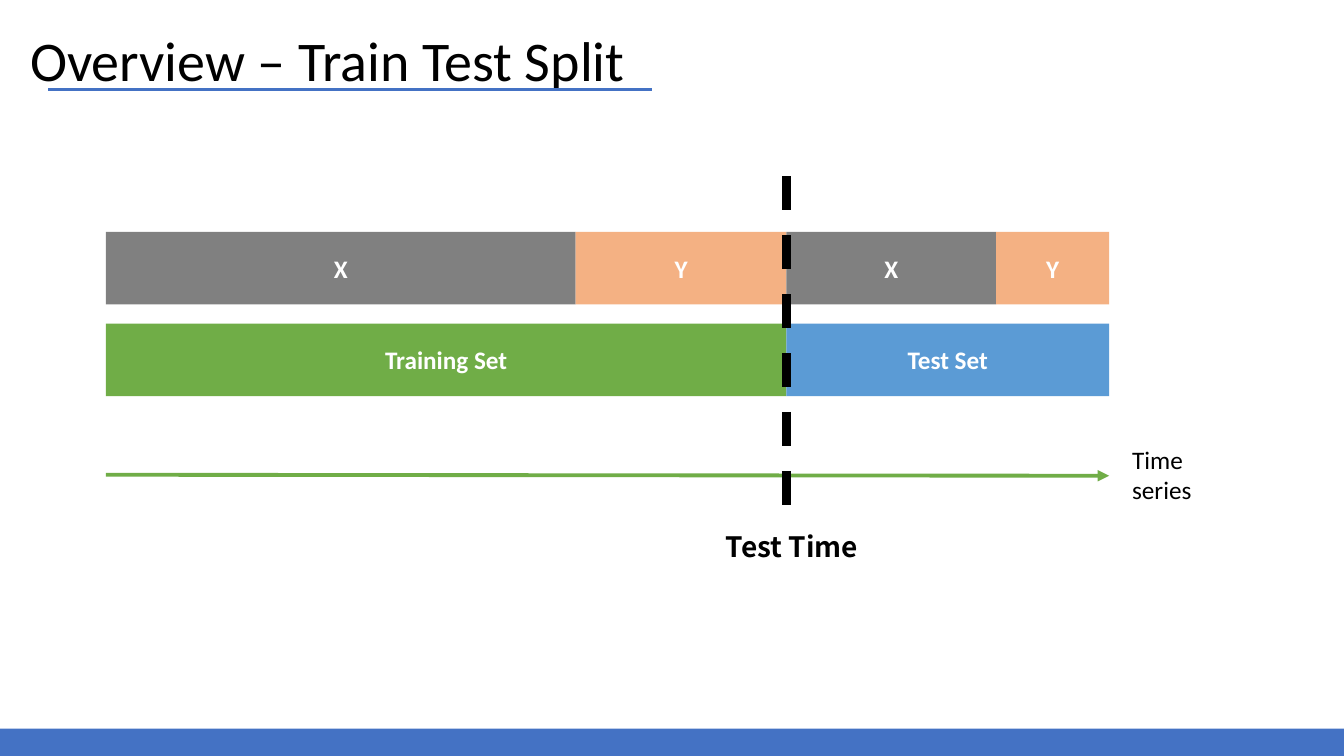
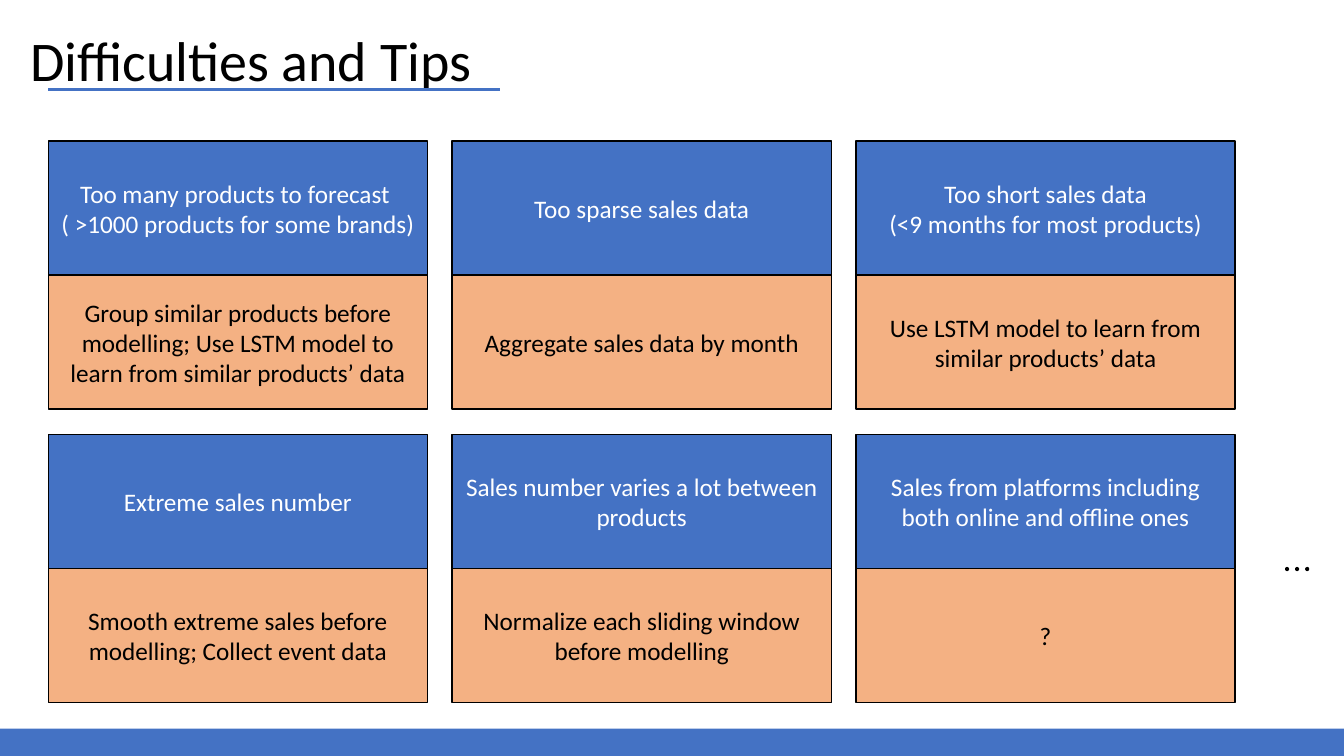
from dataclasses import dataclass

from pptx import Presentation
from pptx import util as u
from pptx.dml.color import RGBColor
from pptx.enum import dml, shapes, text
from pptx.oxml import ns, xmlchemy


@dataclass(frozen=True)
class Theme:
    width: float = 13.33
    height: float = 7.5
    font: str = "Calibri"
    label_font: str = "Noto Sans CJK SC"
    title: int = 40
    label: int = 20
    body: int = 18
    black: str = "000000"
    white: str = "FFFFFF"
    blue: str = "4472C4"
    sky: str = "5B9BD5"
    green: str = "70AD47"
    gray: str = "808080"
    peach: str = "F4B183"


T = Theme()


# Text
def write(sp, lines, anchor=text.MSO_ANCHOR.TOP, align=None, **font):
    """Fill a shape with one paragraph per line, all in one format."""
    tf = sp.text_frame
    tf.word_wrap = True
    tf.vertical_anchor = anchor
    color = font.pop("color", T.black)
    fmt = {"name": T.font, "size": T.body, "bold": False, **font}
    fmt["size"] = u.Pt(fmt["size"])
    for i, line in enumerate(lines.split("\n")):
        p = tf.add_paragraph() if i else tf.paragraphs[0]
        p.alignment = align
        r = p.add_run()
        r.text = line
        for key, value in fmt.items():
            setattr(r.font, key, value)
        r.font.color.rgb = RGBColor.from_string(color)


def add_text(s, x, y, w, h, lines, **font):
    sp = s.shapes.add_textbox(*map(u.Inches, (x, y, w, h)))
    write(sp, lines, **font)


# Shapes and lines
def add_block(parent, x, y, w, h, fill, lines="", outline=None,
              kind=shapes.MSO_SHAPE.RECTANGLE, weight=1, **font):
    sp = parent.shapes.add_shape(kind, *map(u.Inches, (x, y, w, h)))
    sp.shadow.inherit = False
    sp.fill.solid()
    sp.fill.fore_color.rgb = RGBColor.from_string(fill)
    if outline:
        sp.line.color.rgb = RGBColor.from_string(outline)
        sp.line.width = u.Pt(weight)
    else:
        sp.line.fill.background()
    if lines:
        write(sp, lines, text.MSO_ANCHOR.MIDDLE, text.PP_ALIGN.CENTER, **font)


def add_line(s, x1, y1, x2, y2, color, weight, dash=None, arrow=False):
    c = s.shapes.add_connector(shapes.MSO_CONNECTOR.STRAIGHT,
                               *map(u.Inches, (x1, y1, x2, y2)))
    c.line.color.rgb = RGBColor.from_string(color)
    c.line.width = u.Pt(weight)
    if dash:
        c.line.dash_style = dash
    if arrow:
        tail = xmlchemy.OxmlElement("a:tailEnd")
        tail.set("type", "triangle")
        c.line._get_or_add_ln().append(tail)
    c._element.find(ns.qn("p:spPr")).append(xmlchemy.OxmlElement("a:effectLst"))


# Slide frame: title, underline and bottom band
def new_slide(prs, title, title_w, rule_w):
    s = prs.slides.add_slide(prs.slide_layouts[6])
    add_text(s, 0.2, 0.2, title_w, 0.77, title, size=T.title)
    add_line(s, 0.48, 0.89, 0.48 + rule_w, 0.89, T.blue, 2.25)
    band = 0.27
    add_block(s, 0, T.height - band, T.width, band, T.blue)
    return s


# Bar cut into consecutive labelled segments
def add_bar(s, x, y, segments):
    for label, w, fill in segments:
        add_block(s, x, y, w, 0.72, fill, label, color=T.white, bold=True)
        x += w


def split_slide(prs):
    s = new_slide(prs, "Overview – Train Test Split", 8.6, 5.99)
    left, train_w, test_w = 1.05, 6.75, 3.2
    split, right = left + train_w, left + train_w + test_w
    train_x, test_x = 4.66, 2.08

    # Sets and timeline
    add_bar(s, left, 3.21, [("Training Set", train_w, T.green),
                            ("Test Set", test_w, T.sky)])
    add_line(s, left, 4.71, right, 4.72, T.green, 2.75, arrow=True)
    add_text(s, 11.13, 4.36, 1.02, 0.71, "Time series")
    add_text(s, 7.1, 5.2, 1.52, 0.44, "Test Time", name=T.label_font,
             size=T.label, bold=True)

    # Inputs and targets, with the split on top
    add_bar(s, left, 2.3, [("X", train_x, T.gray),
                           ("Y", train_w - train_x, T.peach),
                           ("X", test_x, T.gray),
                           ("Y", test_w - test_x, T.peach)])
    add_line(s, split, 1.75, split, 5.18, T.black, 6, dash=dml.MSO_LINE.DASH)


# Card: difficulty above, tip below
def add_card(s, x, y, difficulty, tip):
    w, h = 3.76, 1.33
    card = s.shapes.add_group_shape()
    add_block(card, x, y, w, h, T.blue, difficulty, T.black, color=T.white)
    add_block(card, x, y + h, w, h, T.peach, tip, T.black)


def tips_slide(prs):
    s = new_slide(prs, "Difficulties and Tips", 5.13, 4.48)
    cards = [
        ("Too many products to forecast \n( >1000 products for some brands)",
         "Group similar products before modelling; Use LSTM model to learn "
         "from similar products’ data"),
        ("Too sparse sales data", "Aggregate sales data by month"),
        ("Too short sales data\n(<9 months for most products)",
         "Use LSTM model to learn from similar products’ data"),
        ("Extreme sales number",
         "Smooth extreme sales before modelling; Collect event data"),
        ("Sales number varies a lot between products",
         "Normalize each sliding window before modelling"),
        ("Sales from platforms including both online and offline ones", "?"),
    ]
    for i, (difficulty, tip) in enumerate(cards):
        row, col = divmod(i, 3)
        add_card(s, 0.48 + 4.005 * col, 1.4 + 2.91 * row, difficulty, tip)

    # Ellipsis: more to come
    dots = s.shapes.add_group_shape()
    for i in range(3):
        add_block(dots, 12.76 + 0.1 * i, 5.64, 0.01, 0.01, T.black,
                  outline=T.black, kind=shapes.MSO_SHAPE.OVAL, weight=2.25)


def main():
    prs = Presentation()
    prs.slide_width = u.Inches(T.width)
    prs.slide_height = u.Inches(T.height)
    split_slide(prs)
    tips_slide(prs)
    prs.save("out.pptx")


if __name__ == "__main__":
    main()
